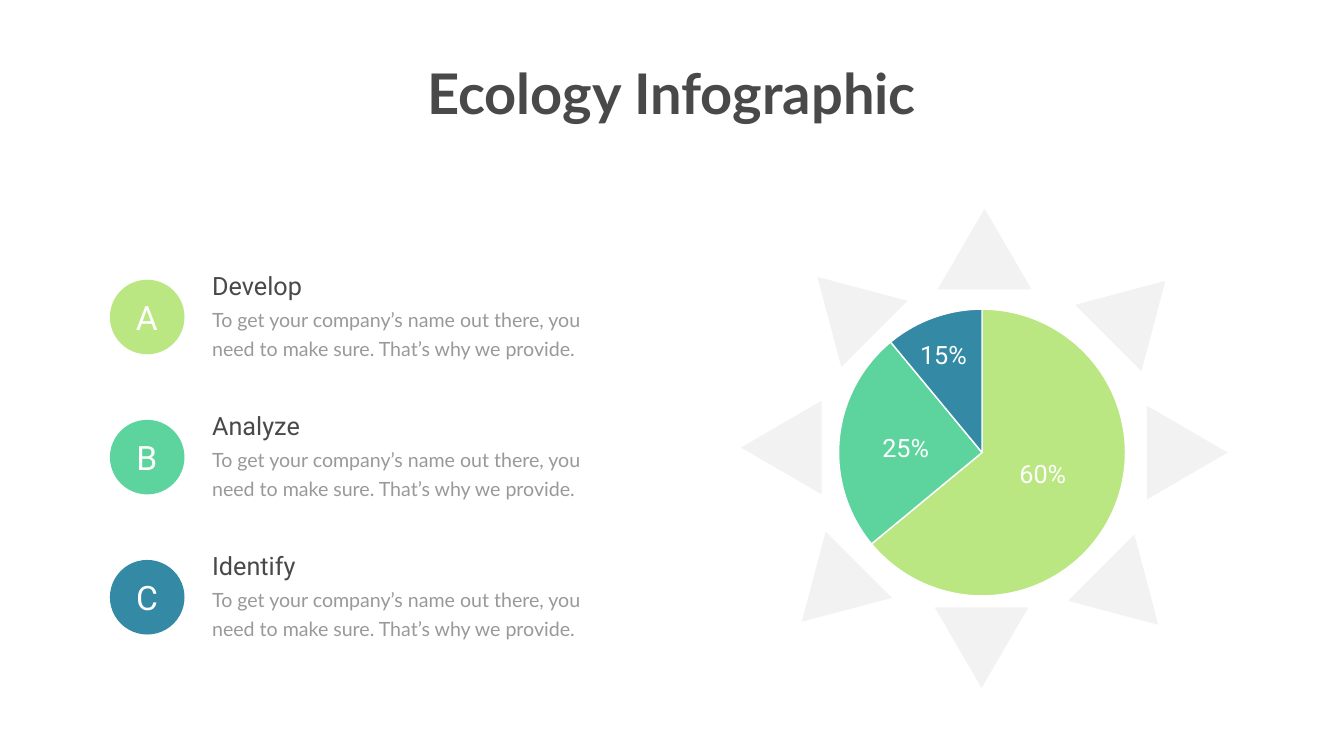
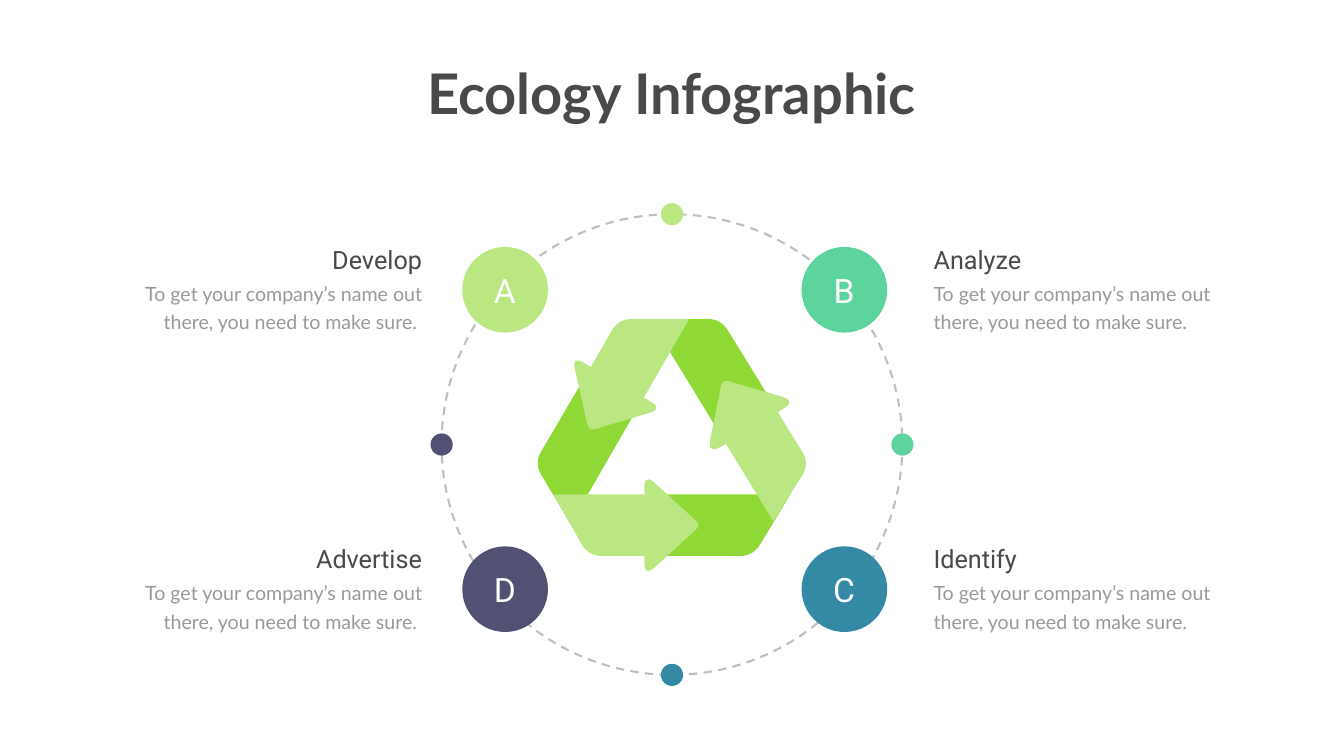
import math
import lxml.etree
import pptx
import pptx.util
import pptx.chart.data
import pptx.dml.color
import pptx.enum.chart
import pptx.enum.dml
import pptx.enum.shapes
import pptx.enum.text
import pptx.oxml
import pptx.oxml.ns

# The grid: one cell is one inch, 26.66 columns by 15 rows
COLS, ROWS = 26.66, 15
CELL = 914400
MID = COLS / 2

LIME, MINT, TEAL, PLUM = "BAE782", "5DD39E", "348AA5", "505173"
LEAF, INK, GREY, DUSK, WHITE = "90D836", "494949", "999999", "808080", "FFFFFF"
HEAD, BODY = "Roboto", "Lato"
ALIGN = {"l": pptx.enum.text.PP_ALIGN.LEFT,
         "c": pptx.enum.text.PP_ALIGN.CENTER,
         "r": pptx.enum.text.PP_ALIGN.RIGHT}
OVAL = pptx.enum.shapes.MSO_SHAPE.OVAL
RAY = pptx.enum.shapes.MSO_SHAPE.ISOSCELES_TRIANGLE


def cells(*sizes):
    return [pptx.util.Emu(round(size * CELL)) for size in sizes]


def hue(code):
    return pptx.dml.color.RGBColor.from_string(code)


def fade(fill, share):
    """Make a solid fill see-through; share is the opacity in percent."""
    tint = fill._xPr.find(".//" + pptx.oxml.ns.qn("a:srgbClr"))
    alpha = lxml.etree.SubElement(tint, pptx.oxml.ns.qn("a:alpha"))
    alpha.set("val", str(share * 1000))


def bend(corners, steps=8):
    """Outline from (x, y) sharp and (x, y, cut) rounded corners."""
    line = []
    for i, (x, y, *cut) in enumerate(corners):
        if not cut:
            line.append((x, y))
            continue
        ends = []
        for near in (corners[i - 1], corners[(i + 1) % len(corners)]):
            part = cut[0] / math.dist((x, y), near[:2])
            ends.append((x + (near[0] - x) * part, y + (near[1] - y) * part))
        (ax, ay), (bx, by) = ends
        for step in range(steps + 1):
            t = step / steps
            u = 1 - t
            line.append((u * u * ax + 2 * u * t * x + t * t * bx,
                         u * u * ay + 2 * u * t * y + t * t * by))
    return line


class Deck:
    def __init__(self):
        self.file = pptx.Presentation()
        self.file.slide_width, self.file.slide_height = cells(COLS, ROWS)
        self.slide = None

    def page(self, title):
        self.slide = self.file.slides.add_slide(self.file.slide_layouts[6])
        self.text(title, 8.27, 1.12, 10.11, 1.45, size=80, font=BODY,
                  bold=True, align="c", wrap=False)

    def text(self, words, x, y, w, h, size=36, font=HEAD, color=INK,
             bold=False, align="l", lead=None, wrap=True):
        frame = self.slide.shapes.add_textbox(*cells(x, y, w, h)).text_frame
        frame.word_wrap = wrap
        frame.auto_size = pptx.enum.text.MSO_AUTO_SIZE.SHAPE_TO_FIT_TEXT
        para = frame.paragraphs[0]
        para.alignment = ALIGN[align]
        if lead:
            para.line_spacing = pptx.util.Pt(lead)
        run = para.add_run()
        run.text = words
        run.font.size = pptx.util.Pt(size)
        run.font.name = font
        run.font.bold = bold
        run.font.color.rgb = hue(color)

    def paint(self, shape, fill):
        shape.shadow.inherit = False
        shape.fill.solid()
        shape.fill.fore_color.rgb = hue(fill)
        shape.line.fill.background()
        return shape

    def shape(self, kind, x, y, w, h, fill):
        """Preset shape centred on x, y."""
        box = cells(x - w / 2, y - h / 2, w, h)
        return self.paint(self.slide.shapes.add_shape(kind, *box), fill)

    def dot(self, x, y, size, fill):
        return self.shape(OVAL, x, y, size, size, fill)

    def badge(self, mark, x, y, size, fill):
        self.dot(x, y, size, fill)
        self.text(mark, x - 0.5, y - 0.45, 0.99, 0.91, size=48, color=WHITE,
                  align="c")

    def note(self, head, body, x, y, w, align="l"):
        """Heading over body text; x is the edge the text is set against."""
        left = lambda wide: x - wide if align == "r" else x
        self.text(body, left(w), y + 0.65, w, 1.19, size=28, font=BODY,
                  color=GREY, align=align, lead=40.8)
        self.text(head, left(4.39), y, 4.39, 0.71, align=align)

    def ray(self, x, y, turn):
        ray = self.shape(RAY, x, y, 1.86, 1.6, DUSK)
        ray.rotation = turn
        fade(ray.fill, 10)

    def ring(self, x, y, size):
        ring = self.dot(x, y, size, WHITE)
        ring.fill.background()
        ring.line.width = pptx.util.Pt(3)
        ring.line.dash_style = pptx.enum.dml.MSO_LINE.DASH
        ring.line.color.rgb = hue(DUSK)
        fade(ring.line.fill, 50)

    def patch(self, fill, corners):
        first, *rest = [cells(*point) for point in bend(corners)]
        form = self.slide.shapes.build_freeform(*first)
        form.add_line_segments(rest, close=True)
        self.paint(form.convert_to_shape(), fill)

    def pie(self, vals, fills, x, y, w, h):
        data = pptx.chart.data.CategoryChartData()
        data.categories = [str(i + 1) for i in range(len(vals))]
        data.add_series("Series 1", vals)
        chart = self.slide.shapes.add_chart(
            pptx.enum.chart.XL_CHART_TYPE.PIE, *cells(x, y, w, h), data).chart
        chart.has_legend = False
        chart.has_title = False
        chart.font.size = pptx.util.Pt(10)
        chart.font.name = "Calibri"
        chart.font.color.rgb = hue(GREY)
        for i, fill in enumerate(fills):
            form = chart.plots[0].series[0].points[i].format
            form.fill.solid()
            form.fill.fore_color.rgb = hue(fill)
            form.line.width = pptx.util.Pt(2)
            form.line.color.rgb = hue(WHITE)
        # Fix the plot inside the chart frame
        qn = pptx.oxml.ns.qn
        area = chart._chartSpace.find(".//" + qn("c:plotArea"))
        for old in area.findall(qn("c:layout")):
            area.remove(old)
        plan = lxml.etree.Element(qn("c:layout"))
        area.insert(0, plan)
        hand = lxml.etree.SubElement(plan, qn("c:manualLayout"))
        for tag, val in (("layoutTarget", "inner"), ("xMode", "edge"),
                         ("yMode", "edge"), ("x", "0.02"), ("y", "0.03"),
                         ("w", "0.96"), ("h", "0.93")):
            lxml.etree.SubElement(hand, qn("c:" + tag)).set("val", val)


def sun(deck):
    deck.page("Ecology Infographic")

    # Sun rays, clockwise from the top
    rays = [(19.53, 4.94), (22.55, 6.14), (23.55, 8.98), (22.41, 11.83),
            (19.47, 12.85), (16.47, 11.77), (15.5, 8.88), (16.78, 6.06)]
    for i, (x, y) in enumerate(rays):
        deck.ray(x, y, i * 45)

    # Pie and its shares
    deck.pie((64, 25, 11), (LIME, MINT, TEAL), 16.5, 5.95, 5.96, 6.12)
    for share, x, y in (("60%", 19.86, 9.04), ("25%", 17.14, 8.52),
                        ("15%", 17.89, 6.69)):
        deck.text(share, x, y, 1.65, 0.71, color=WHITE, align="c")

    # Key
    body = ("To get your company’s name out there, you need to make sure. "
            "That’s why we provide.")
    items = (("A", "Develop", LIME), ("B", "Analyze", MINT),
             ("C", "Identify", TEAL))
    for i, (mark, head, fill) in enumerate(items):
        y = 5.31 + i * 2.78
        deck.badge(mark, 2.92, y + 0.98, 1.48, fill)
        deck.note(head, body, 4.11, y, 8.18)


def cycle(deck):
    deck.page("Ecology Infographic")
    hub, reach = 8.82, 4.57
    deck.ring(MID, hub, 2 * reach)

    # Folded bands, then the arrows over them
    bands = [
        [(13.11, 11.03), (13.11, 9.81), (15.68, 9.81), (14.94, 11.03, 0.26)],
        [(15.26, 7.89), (14.23, 8.52), (12.89, 6.33), (14.3, 6.33, 0.26)],
        [(11.55, 7.57), (12.6, 8.18), (11.32, 10.4), (10.6, 9.19, 0.26)]]
    arrows = [
        [(12.78, 9.81), (10.98, 9.81), (11.67, 11.03, 0.27), (12.78, 11.03),
         (12.78, 11.45, 0.3), (13.9, 10.42, 0.14), (12.78, 9.39, 0.3)],
        [(15.43, 8.18), (15.79, 7.95, 0.3), (14.33, 7.53, 0.14),
         (14.03, 9.01, 0.3), (14.4, 8.81), (15.34, 10.34),
         (16.06, 9.2, 0.27)],
        [(11.72, 7.28), (11.34, 7.05, 0.3), (11.68, 8.55, 0.14),
         (13.16, 8.11, 0.3), (12.77, 7.89), (13.67, 6.33),
         (12.27, 6.33, 0.27)]]
    for fill, forms in ((LEAF, bands), (LIME, arrows)):
        for form in forms:
            deck.patch(fill, form)

    # Dots on the ring, clockwise from the top
    for i, fill in enumerate((LIME, MINT, TEAL, PLUM)):
        turn = math.radians(i * 90)
        deck.dot(MID + reach * math.sin(turn), hub - reach * math.cos(turn),
                 0.44, fill)

    # Badges and notes on both sides
    body = "To get your company’s name out there, you need to make sure."
    items = (("A", "Develop", LIME, 0, 0), ("B", "Analyze", MINT, 1, 0),
             ("D", "Advertise", PLUM, 0, 1), ("C", "Identify", TEAL, 1, 1))
    for mark, head, fill, col, row in items:
        y = 4.79 + row * 5.94
        deck.badge(mark, 10.02 + col * 6.73, y + 0.96, 1.7, fill)
        if col:
            deck.note(head, body, 18.42, y, 6.08)
        else:
            deck.note(head, body + " ", 8.47, y, 6.08, align="r")


def main():
    deck = Deck()
    sun(deck)
    cycle(deck)
    deck.file.save("out.pptx")


if __name__ == "__main__":
    main()
